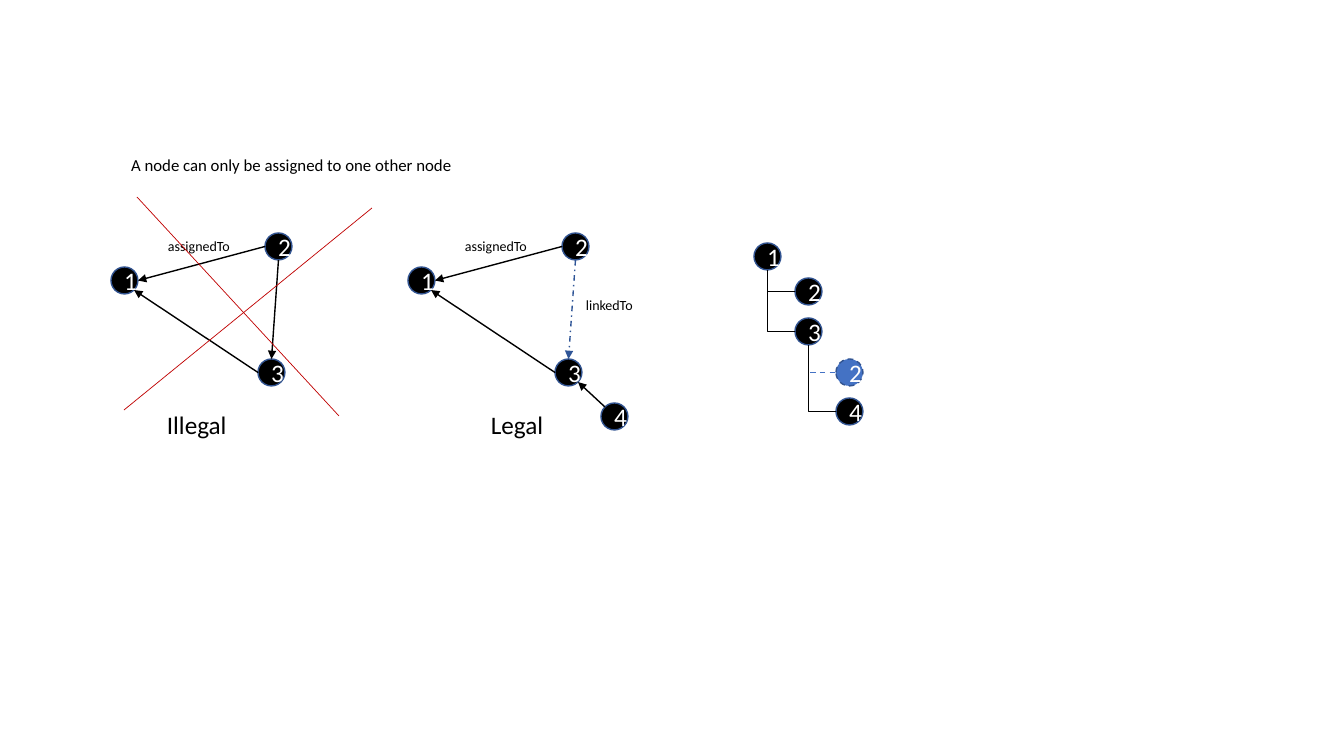
from lxml import etree
from pptx import Presentation
from pptx.dml.color import RGBColor
from pptx.enum.dml import MSO_LINE
from pptx.enum.shapes import MSO_CONNECTOR, MSO_SHAPE
from pptx.enum.text import MSO_ANCHOR, MSO_AUTO_SIZE, PP_ALIGN
from pptx.oxml.ns import qn
from pptx.util import Emu, Pt

PIXEL = 914400 / 100.8
NODE_SIZE = 27
RADIUS = NODE_SIZE / 2
DIAGONAL = 0.71
TITLE_ONLY = 5

BLACK = RGBColor(0x00, 0x00, 0x00)
WHITE = RGBColor(0xFF, 0xFF, 0xFF)
RED = RGBColor(0xC0, 0x00, 0x00)
BLUE = RGBColor(0x44, 0x72, 0xC4)
DARK_BLUE = RGBColor(0x2F, 0x55, 0x97)
OUTLINE = RGBColor(0x32, 0x54, 0x91)

OVAL = MSO_SHAPE.OVAL
STRAIGHT, ELBOW = MSO_CONNECTOR.STRAIGHT, MSO_CONNECTOR.ELBOW
DASH, DASH_DOT = MSO_LINE.DASH, MSO_LINE.DASH_DOT
LEFT, CENTER = PP_ALIGN.LEFT, PP_ALIGN.CENTER
TOP, MIDDLE = MSO_ANCHOR.TOP, MSO_ANCHOR.MIDDLE
GROW, NO_FIT = MSO_AUTO_SIZE.SHAPE_TO_FIT_TEXT, MSO_AUTO_SIZE.NONE

LABEL_FRAME = {"word_wrap": False, "auto_size": GROW, "vertical_anchor": TOP}
NODE_FRAME = {"word_wrap": True, "auto_size": NO_FIT, "vertical_anchor": MIDDLE}


def emu(pixels):
    """Turn pixels into EMU."""
    return Emu(round(pixels * PIXEL))


def set_all(target, values):
    """Set every attribute in the dict on the target."""
    for name, value in values.items():
        setattr(target, name, value)


class GraphSlide:
    """Holds the style and the current slide."""

    font = "Calibri"

    def __init__(self, slide):
        """Keep the slide to draw on."""
        self.slide = slide

    def add_text(self, shape, text, size, color, alignment, frame_format):
        """Put one formatted line of text in a shape."""
        frame = shape.text_frame
        set_all(frame, frame_format)
        paragraph = frame.paragraphs[0]
        paragraph.alignment = alignment
        run = paragraph.add_run()
        run.text = text
        set_all(run.font, {"name": self.font, "size": Pt(size), "bold": False})
        run.font.color.rgb = color

    def title(self, text, left, top, width, height, size):
        """Move and fill the title placeholder."""
        shape = self.slide.shapes.title
        set_all(shape, {"left": emu(left), "top": emu(top),
                        "width": emu(width), "height": emu(height)})
        self.add_text(shape, text, size, BLACK, LEFT, LABEL_FRAME)

    def label(self, text, left, top, width, height, size=10):
        """Add a line of black text."""
        shape = self.slide.shapes.add_textbox(*map(emu, (left, top, width, height)))
        self.add_text(shape, text, size, BLACK, LEFT, LABEL_FRAME)

    def node(self, text, left, top, fill=BLACK, dash=None):
        """Add a numbered circle and return its centre."""
        shape = self.slide.shapes.add_shape(
            OVAL, *map(emu, (left, top, NODE_SIZE, NODE_SIZE)))
        shape.shadow.inherit = False
        shape.fill.solid()
        shape.fill.fore_color.rgb = fill
        self.stroke(shape.line, OUTLINE, 1, dash)
        self.add_text(shape, text, 18, WHITE, CENTER, NODE_FRAME)
        return left + RADIUS, top + RADIUS

    def stroke(self, line, color, width, dash):
        """Format a line or an outline."""
        line.color.rgb = color
        set_all(line, {"width": Pt(width), "dash_style": dash})

    def line(self, start, end, color=BLACK, width=1, dash=None, arrow=False,
             kind=STRAIGHT):
        """Add a connector, with an arrowhead at its end if asked."""
        connector = self.slide.shapes.add_connector(kind, *map(emu, start + end))
        self.stroke(connector.line, color, width, dash)
        properties = connector._element.spPr
        if arrow:
            etree.SubElement(properties.find(qn("a:ln")), qn("a:tailEnd"), type="triangle")
        etree.SubElement(properties, qn("a:effectLst"))
        return connector

    def arrow(self, start, end, color=BLACK, dash=None):
        """Add an arrow between two points."""
        self.line(start, end, color, dash=dash, arrow=True)

    def branch(self, parent, child, color=BLACK, dash=None):
        """Go down from a parent node, then right to its child."""
        start, end = edge(parent, 0, 1), edge(child, -1, 0)
        connector = self.line(start, end, color, dash=dash, kind=ELBOW)
        across, down = end[0] - start[0], end[1] - start[1]
        set_all(connector, {
            "left": emu(start[0] + (across - down) / 2),
            "top": emu(start[1] + (down - across) / 2),
            "width": emu(down), "height": emu(across)})
        properties = connector._element.spPr
        properties.find(qn("a:prstGeom")).set("prst", "bentConnector2")
        transform = properties.find(qn("a:xfrm"))
        transform.set("rot", "16200000")
        transform.set("flipH", "1")


def edge(center, across, down):
    """Return the point on a node's rim in the given direction."""
    return center[0] + across * RADIUS, center[1] + down * RADIUS


def triangle(graph, left, color=BLACK, dash=None):
    """Draw nodes 1 to 3 with their arrows and return node 3's centre."""
    first = graph.node("1", left, 267)
    second = graph.node("2", left + 154, 233)
    third = graph.node("3", left + 147, 359)
    graph.arrow(edge(second, -1, 0), edge(first, 1, 0))
    graph.arrow(edge(third, -1, 0), edge(first, DIAGONAL, DIAGONAL))
    graph.arrow(edge(second, 0, 1), edge(third, 0, -1), color, dash)
    graph.label("assignedTo", left + 47, 233, 88, 27)
    return third


def tree(graph):
    """Draw the legal graph as a tree."""
    first = graph.node("1", 754, 243)
    second = graph.node("2", 795, 278)
    third = graph.node("3", 795, 318)
    linked = graph.node("2", 836, 359, BLUE, DASH)
    fourth = graph.node("4", 836, 398)
    graph.branch(first, second)
    graph.branch(first, third)
    graph.branch(third, linked, BLUE, DASH)
    graph.branch(third, fourth)


def main():
    """Build and save the slide."""
    presentation = Presentation()
    set_all(presentation, {"slide_width": emu(1344), "slide_height": emu(756)})
    layout = presentation.slide_layouts[TITLE_ONLY]
    graph = GraphSlide(presentation.slides.add_slide(layout))
    graph.title("A node can only be assigned to one other node", 121, 150, 345, 30, 12)

    triangle(graph, 111)
    graph.label("Illegal", 157, 404, 81, 40, 18)
    for start, end in (((124, 410), (372, 208)), ((137, 197), (339, 416))):
        graph.line(start, end, RED, 0.5)

    third = triangle(graph, 408, DARK_BLUE, DASH_DOT)
    fourth = graph.node("4", 601, 403)
    graph.arrow(edge(fourth, -DIAGONAL, -DIAGONAL), edge(third, DIAGONAL, DIAGONAL))
    graph.label("linkedTo", 576, 292, 70, 27)
    graph.label("Legal", 481, 404, 74, 40, 18)

    tree(graph)
    presentation.save("out.pptx")


main()
